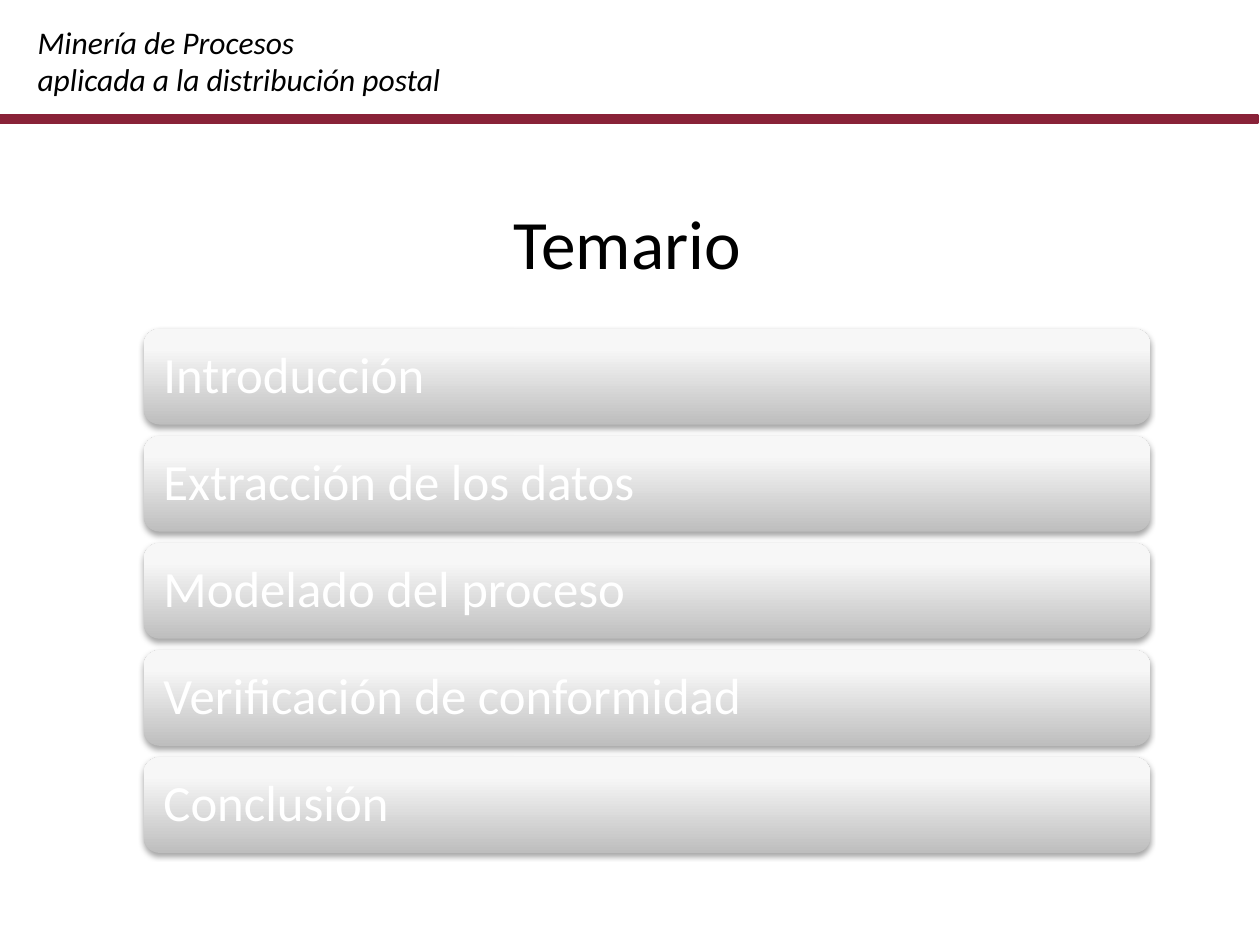
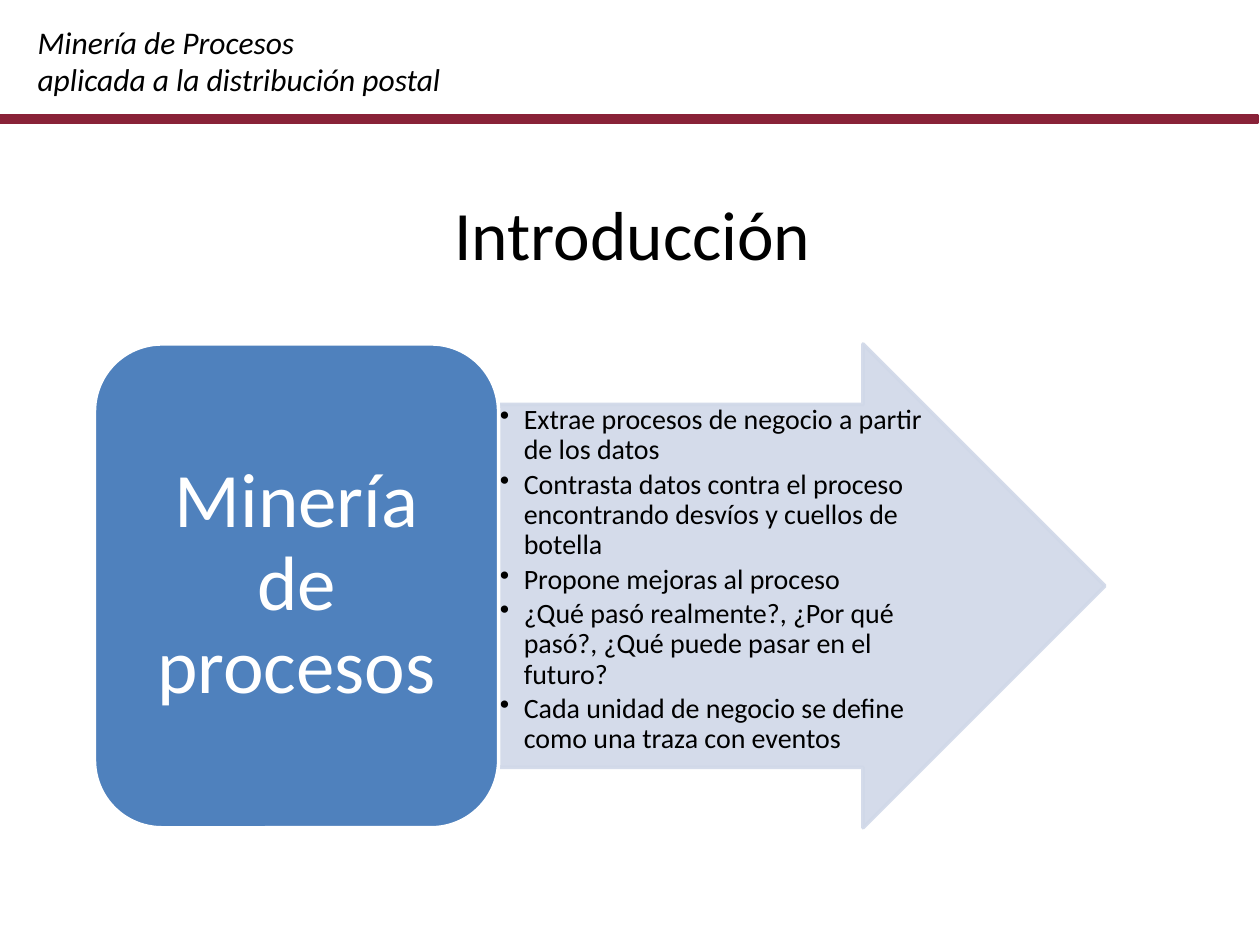
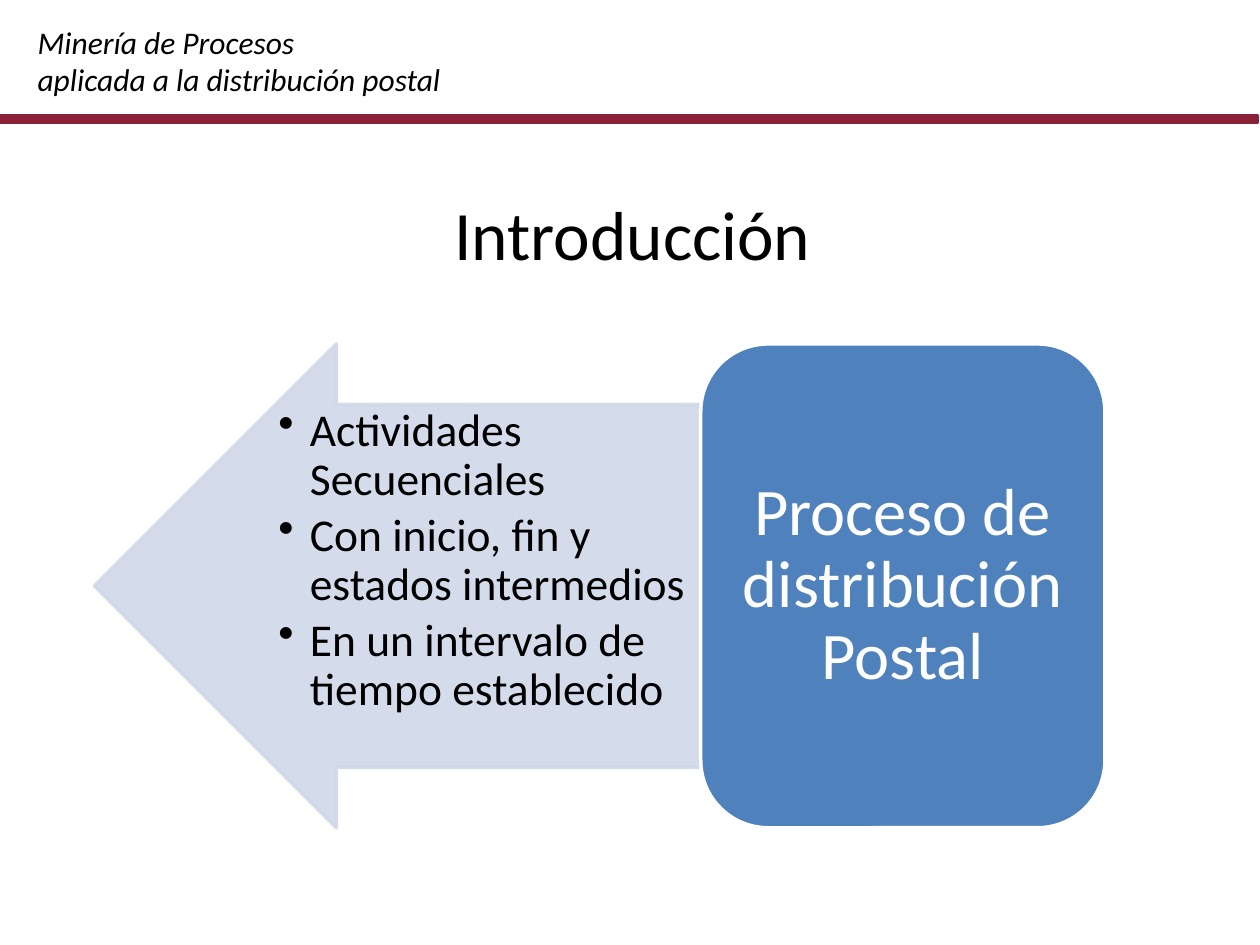
import pptx
import pptx.util
import pptx.dml.color
import pptx.enum.shapes
import pptx.enum.text
import pptx.oxml
import pptx.oxml.ns

Inches = pptx.util.Inches
Pt = pptx.util.Pt
SHAPE = pptx.enum.shapes.MSO_SHAPE
ALIGN = pptx.enum.text.PP_ALIGN
ANCHOR = pptx.enum.text.MSO_ANCHOR
qn = pptx.oxml.ns.qn
NS = 'xmlns:a="http://schemas.openxmlformats.org/drawingml/2006/main"'

WIDTH, HEIGHT = 10, 7.5
FONT = "Calibri"
BLACK, WHITE, WINE = "000000", "FFFFFF", "892238"
BLUE, PALE = "4F81BD", "D0D8E8"
BAR_STOPS = [(0, "BEBEBE"), (80, "F7F7F7"), (100, "F8F8F8")]

HEADER = "Minería de Procesos\vaplicada a la distribución postal"
AGENDA = {
    "title": "Temario",
    "title_at": (0.83, 1.62),
    "topics": [
        "Introducción",
        "Extracción de los datos",
        "Modelado del proceso",
        "Verificación de conformidad",
        "Conclusión",
    ],
}
CONCEPTS = [
    {
        "title": "Introducción",
        "title_at": (0.87, 1.55),
        "concept": "Minería de procesos",
        "concept_size": 44,
        "margins": (0.18, 0.09),
        "arrow": SHAPE.RIGHT_ARROW,
        "points": [
            "Extrae procesos de negocio a partir de los datos",
            "Contrasta datos contra el proceso encontrando desvíos y cuellos de botella",
            "Propone mejoras al proceso",
            "¿Qué pasó realmente?, ¿Por qué pasó?, ¿Qué puede pasar en el futuro?",
            "Cada unidad de negocio se define como una traza con eventos",
        ],
        "point_size": 16,
        "point_margin": 0.01,
        "indent": 0.19,
    },
    {
        "title": "Introducción",
        "title_at": (0.87, 1.55),
        "concept": "Proceso de distribución Postal",
        "concept_size": 38,
        "margins": (0.16, 0.08),
        "arrow": SHAPE.LEFT_ARROW,
        "points": [
            "Actividades Secuenciales",
            "Con inicio, fin y estados intermedios",
            "En un intervalo de tiempo establecido",
        ],
        "point_size": 26,
        "point_margin": 0.02,
        "indent": 0.25,
    },
]

TITLE_W, TITLE_H, TITLE_RAISE = 8.3, 1.26, 0.72
BAR_X, BAR_Y, BAR_W, BAR_H, BAR_GAP = 1.14, 2.61, 7.99, 0.76, 0.09
DIAGRAM_X, DIAGRAM_Y, DIAGRAM_W, DIAGRAM_H = 0.75, 2.73, 8.02, 3.84
CONCEPT_W = DIAGRAM_W * 0.4
ARROW_W = DIAGRAM_W - CONCEPT_W


def rgb(color):
    return pptx.dml.color.RGBColor.from_string(color)


def place(sp, x, y, w, h):
    sp.left, sp.top, sp.width, sp.height = map(Inches, (x, y, w, h))


def format_text(p, size, color, align=ALIGN.LEFT, spacing=None, italic=None):
    p.alignment = align
    p.line_spacing = spacing
    for r in p.runs:
        r.font.name = FONT
        r.font.size = Pt(size)
        r.font.italic = italic
        r.font.color.rgb = rgb(color)


def set_frame(tf, anchor, across, down):
    tf.word_wrap = True
    tf.vertical_anchor = anchor
    tf.margin_left = tf.margin_right = Inches(across)
    tf.margin_top = tf.margin_bottom = Inches(down)


def add_shape(s, kind, x, y, w, h, fill=None, line=None):
    sp = s.shapes.add_shape(kind, *map(Inches, (x, y, w, h)))
    if fill:
        sp.fill.solid()
        sp.fill.fore_color.rgb = rgb(fill)
    if line:
        sp.line.color.rgb = rgb(line)
        sp.line.width = Pt(2)
    else:
        sp.line.fill.background()
    sp.shadow.inherit = False
    return sp


def shade_bar(sp):
    stops = "".join(
        f'<a:gs pos="{pos * 1000}"><a:srgbClr val="{color}"/></a:gs>'
        for pos, color in BAR_STOPS
    )
    spPr = sp._element.spPr
    spPr.find(qn("a:prstGeom")).addnext(pptx.oxml.parse_xml(
        f'<a:gradFill {NS} rotWithShape="1"><a:gsLst>{stops}</a:gsLst>'
        '<a:lin ang="16200000" scaled="0"/></a:gradFill>'
    ))
    spPr.find(qn("a:effectLst")).append(pptx.oxml.parse_xml(
        f'<a:outerShdw {NS} blurRad="{Pt(3.1)}" dist="{Pt(1.8)}" dir="5400000" '
        'rotWithShape="0"><a:srgbClr val="000000"><a:alpha val="35000"/>'
        '</a:srgbClr></a:outerShdw>'
    ))


def set_opacity(sp, percent):
    for clr in sp._element.spPr.iter(qn("a:srgbClr")):
        clr.append(pptx.oxml.parse_xml(f'<a:alpha {NS} val="{percent * 1000}"/>'))


def add_bullet(p, indent):
    pPr = p._p.get_or_add_pPr()
    pPr.set("marL", str(Inches(indent)))
    pPr.set("indent", str(-Inches(indent)))
    pPr.append(pptx.oxml.parse_xml(f'<a:buChar {NS} char="•"/>'))


def add_slide(prs, content):
    s = prs.slides.add_slide(prs.slide_layouts[5])
    title = s.shapes.title
    place(title, *content["title_at"], TITLE_W, TITLE_H)
    tf = title.text_frame
    tf.text = content["title"]
    tf.auto_size = pptx.enum.text.MSO_AUTO_SIZE.NONE
    set_frame(tf, ANCHOR.MIDDLE, 0.1, 0.05)
    tf.margin_bottom = Inches(TITLE_RAISE)
    format_text(tf.paragraphs[0], 39.6, BLACK, ALIGN.CENTER)

    add_shape(s, SHAPE.RECTANGLE, -0.02, 0.92, WIDTH, 0.05, WINE, WINE)
    header = s.shapes.add_textbox(*map(Inches, (0.2, 0.13, 6.46, 0.71)))
    tf = header.text_frame
    tf.text = HEADER
    set_frame(tf, ANCHOR.TOP, 0.1, 0.05)
    format_text(tf.paragraphs[0], 18, BLACK, italic=True)
    return s


def build_agenda(prs):
    s = add_slide(prs, AGENDA)
    for i, topic in enumerate(AGENDA["topics"]):
        y = BAR_Y + i * (BAR_H + BAR_GAP)
        bar = add_shape(s, SHAPE.ROUNDED_RECTANGLE, BAR_X, y, BAR_W, BAR_H)
        shade_bar(bar)
        tf = bar.text_frame
        tf.text = topic
        set_frame(tf, ANCHOR.MIDDLE, 0.12, 0.12)
        format_text(tf.paragraphs[0], 29, WHITE, spacing=0.9)


def build_concept(prs, content):
    s = add_slide(prs, content)
    if content["arrow"] == SHAPE.RIGHT_ARROW:
        concept_x, arrow_x = DIAGRAM_X, DIAGRAM_X + CONCEPT_W
    else:
        concept_x, arrow_x = DIAGRAM_X + ARROW_W, DIAGRAM_X

    arrow = add_shape(s, content["arrow"], arrow_x, DIAGRAM_Y,
                      ARROW_W, DIAGRAM_H, PALE, PALE)
    arrow.adjustments[0], arrow.adjustments[1] = 0.75, 0.5
    set_opacity(arrow, 90)
    tf = arrow.text_frame
    tf.text = "\n".join(content["points"])
    set_frame(tf, ANCHOR.TOP, content["point_margin"], content["point_margin"])
    for p in tf.paragraphs:
        add_bullet(p, content["indent"])
        format_text(p, content["point_size"], BLACK, spacing=0.9)
        p.space_after = Pt(round(content["point_size"] * 0.15, 1))

    box = add_shape(s, SHAPE.ROUNDED_RECTANGLE, concept_x, DIAGRAM_Y,
                    CONCEPT_W, DIAGRAM_H, BLUE, WHITE)
    tf = box.text_frame
    tf.text = content["concept"]
    set_frame(tf, ANCHOR.MIDDLE, *content["margins"])
    format_text(tf.paragraphs[0], content["concept_size"], WHITE, ALIGN.CENTER, 0.9)


def main():
    prs = pptx.Presentation()
    prs.slide_width, prs.slide_height = Inches(WIDTH), Inches(HEIGHT)
    build_agenda(prs)
    for content in CONCEPTS:
        build_concept(prs, content)
    prs.save("out.pptx")


if __name__ == "__main__":
    main()
